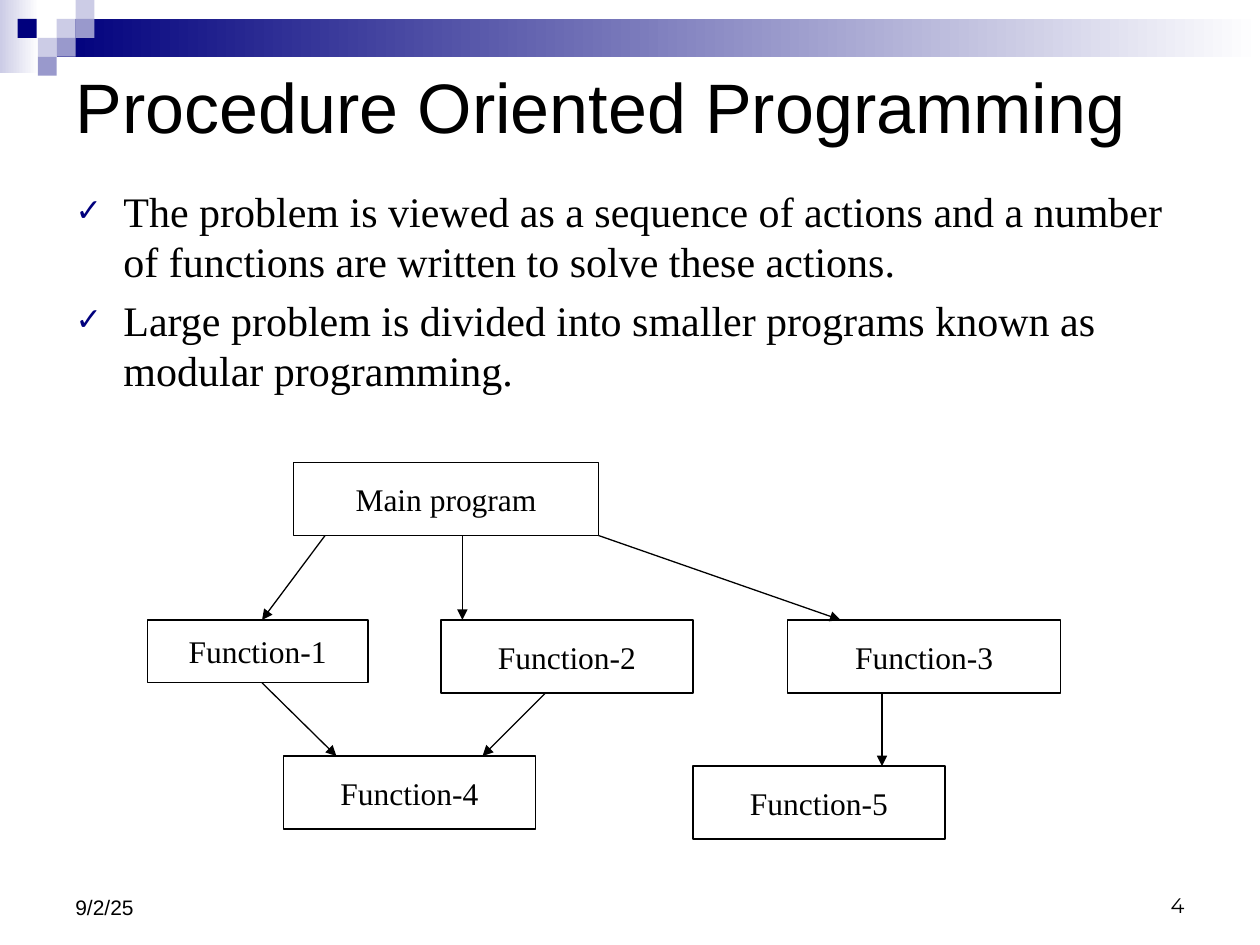
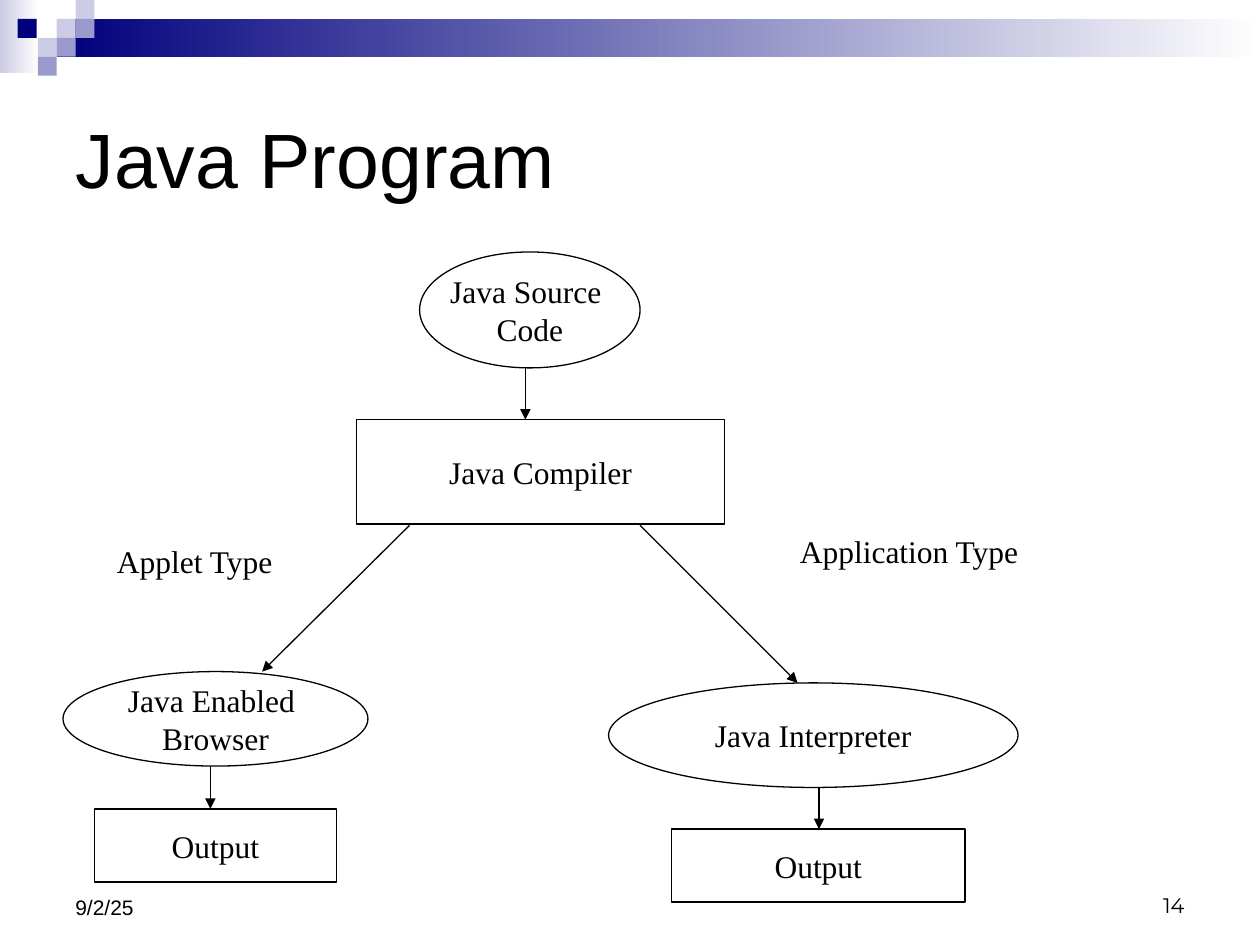
from lxml.etree import SubElement
from pptx import Presentation
from pptx.dml.color import RGBColor
from pptx.enum.shapes import MSO_CONNECTOR, MSO_SHAPE
from pptx.enum.text import MSO_ANCHOR, MSO_AUTO_SIZE, PP_ALIGN
from pptx.oxml.ns import qn
from pptx.util import Inches, Pt

# Shared look
HUES = {"navy": "00007D", "mid": "9999CC", "pale": "CCCCE6",
        "white": "FFFFFF", "ink": "000000"}
RGB = {name: RGBColor.from_string(code) for name, code in HUES.items()}
SANS, SERIF, NUMS = "Arial", "Times New Roman", "Montserrat"
LEFT, MID, RIGHT = PP_ALIGN.LEFT, PP_ALIGN.CENTER, PP_ALIGN.RIGHT
RECT, OVAL = MSO_SHAPE.RECTANGLE, MSO_SHAPE.OVAL
CELL = 0.15

# Gradient bands: left, top, width, height, start colour
BANDS = [(0, 0, 0.31, 0.58, "pale"), (0.45, CELL, 9.55, 2 * CELL, "navy")]
# Small squares: left, row, colour
TILES = [(0.45, 1, "pale"), (0.6, 0, "pale"), (0.6, 1, "mid"),
         (0.3, 2, "pale"), (0.14, 1, "navy"), (0.45, 2, "mid"),
         (0.3, 3, "mid")]

# Each node: shape, left, top, width, height, lines
# Each arrow: start x, start y, end x, end y
PAGES = [
    {
        "title": "Procedure Oriented Programming",
        "size": 40, "area": (0.5, 0.5, 9.08, 0.67), "page": "4",
        "list": [
            "The problem is viewed as a sequence of actions and a number "
            "of functions are written to solve these actions.",
            "Large problem is divided into smaller programs known as "
            "modular programming.",
        ],
        "nodes": [
            (RECT, 2.33, 3.67, 2.42, 0.58, ["Main program"]),
            (RECT, 1.17, 4.92, 1.75, 0.5, ["Function-1"]),
            (RECT, 3.5, 4.92, 2, 0.58, ["Function-2"]),
            (RECT, 6.25, 4.92, 2.17, 0.58, ["Function-3"]),
            (RECT, 2.25, 6, 2, 0.58, ["Function-4"]),
            (RECT, 5.5, 6.08, 2, 0.58, ["Function-5"]),
        ],
        "arrows": [
            (2.58, 4.25, 2.08, 4.92), (3.67, 4.25, 3.67, 4.92),
            (4.75, 4.25, 6.67, 4.92), (2.08, 5.42, 2.67, 6),
            (4.33, 5.5, 3.83, 6), (7, 5.5, 7, 6.08),
        ],
        "labels": [],
    },
    {
        "title": "Java Program",
        "size": 44, "area": (0.5, 0.5, 9, 1.5), "page": "14",
        "list": [],
        "nodes": [
            (OVAL, 3.33, 2, 1.75, 0.92, ["Java Source ", "Code"]),
            (RECT, 2.83, 3.33, 2.92, 0.83, ["Java Compiler"]),
            (OVAL, 0.5, 5.33, 2.42, 0.75, ["Java Enabled ", "Browser"]),
            (OVAL, 4.83, 5.42, 3.25, 0.83, ["Java Interpreter"]),
            (RECT, 0.75, 6.42, 1.92, 0.58, ["Output"]),
            (RECT, 5.33, 6.58, 2.33, 0.58, ["Output"]),
        ],
        "arrows": [
            (4.17, 2.92, 4.17, 3.33), (3.25, 4.17, 2.08, 5.33),
            (5.08, 4.17, 6.33, 5.42), (1.67, 6.08, 1.67, 6.42),
            (6.5, 6.25, 6.5, 6.58),
        ],
        "labels": [
            (6.25, 4.17, 2.58, 0.4, "Application Type"),
            (0.83, 4.25, 1.58, 0.4, "Applet Type"),
        ],
    },
]


def write(shape, lines, size, face, align=LEFT, anchor=MSO_ANCHOR.TOP,
          wrap=True):
    frame = shape.text_frame
    frame.text = "\n".join(lines)
    look = {"word_wrap": wrap, "vertical_anchor": anchor,
            "auto_size": MSO_AUTO_SIZE.NONE}
    for key, val in look.items():
        setattr(frame, key, val)
    for para in frame.paragraphs:
        para.alignment = align
        font = para.runs[0].font
        for key, val in {"size": Pt(size), "name": face}.items():
            setattr(font, key, val)
        font.color.rgb = RGB["ink"]


def place(shape, *area):
    for key, val in zip(("left", "top", "width", "height"), area):
        setattr(shape, key, Inches(val))
    return shape


deck = Presentation()
deck.slide_width, deck.slide_height = Inches(10), Inches(7.5)

for page in PAGES:
    slide = deck.slides.add_slide(deck.slide_layouts[1 if page["list"] else 5])
    shapes = slide.shapes

    # Top bands and squares
    for *area, hue in BANDS:
        band = shapes.add_shape(RECT, *map(Inches, area))
        band.shadow.inherit = False
        band.line.fill.background()
        band.fill.gradient()
        band.fill.gradient_angle = 0
        for stop, name in zip(band.fill.gradient_stops, (hue, "white")):
            stop.color.rgb = RGB[name]
    for x, row, hue in TILES:
        tile = shapes.add_shape(
            RECT, *map(Inches, (x, row * CELL, CELL, CELL)))
        tile.shadow.inherit = False
        tile.line.fill.background()
        tile.fill.solid()
        tile.fill.fore_color.rgb = RGB[hue]

    # Title
    title = place(shapes.title, *page["area"])
    write(title, [page["title"]], page["size"], SANS,
          anchor=MSO_ANCHOR.MIDDLE)

    # Check-marked list
    if page["list"]:
        body = place(slide.placeholders[1], 0.5, 1.42, 9, 5)
        write(body, page["list"], 24, SERIF)
        for para in body.text_frame.paragraphs:
            props = para._p.get_or_add_pPr()
            props.set("marL", str(Inches(0.38)))
            props.set("indent", str(-Inches(0.38)))
            tint = SubElement(props, qn("a:buClr"))
            SubElement(tint, qn("a:srgbClr"), val=HUES["navy"])
            SubElement(props, qn("a:buSzPct"), val="75000")
            SubElement(props, qn("a:buChar"), char="✓")

    # Diagram nodes
    for kind, *area, lines in page["nodes"]:
        node = shapes.add_shape(kind, *map(Inches, area))
        node.shadow.inherit = False
        node.fill.solid()
        node.fill.fore_color.rgb = RGB["white"]
        node.line.color.rgb = RGB["ink"]
        node.line.width = Pt(0.75)
        write(node, lines, 18, SERIF, MID, MSO_ANCHOR.MIDDLE, False)

    # Arrows
    for ends in page["arrows"]:
        arrow = shapes.add_connector(
            MSO_CONNECTOR.STRAIGHT, *map(Inches, ends))
        arrow.line.color.rgb = RGB["ink"]
        arrow.line.width = Pt(0.75)
        SubElement(arrow.line._get_or_add_ln(), qn("a:tailEnd"),
                   type="triangle")
        SubElement(arrow._element.spPr, qn("a:effectLst"))

    # Branch labels
    for *area, text in page["labels"]:
        write(shapes.add_textbox(*map(Inches, area)), [text], 18, SERIF)

    # Date and page number
    for x, high, text, face, align in (
            (0.5, 0.52, "9/2/25", SANS, LEFT),
            (7.17, 0.5, page["page"], NUMS, RIGHT)):
        foot = shapes.add_textbox(*map(Inches, (x, 6.83, 2.33, high)))
        write(foot, [text], 12, face, align, MSO_ANCHOR.BOTTOM)

deck.save("out.pptx")
